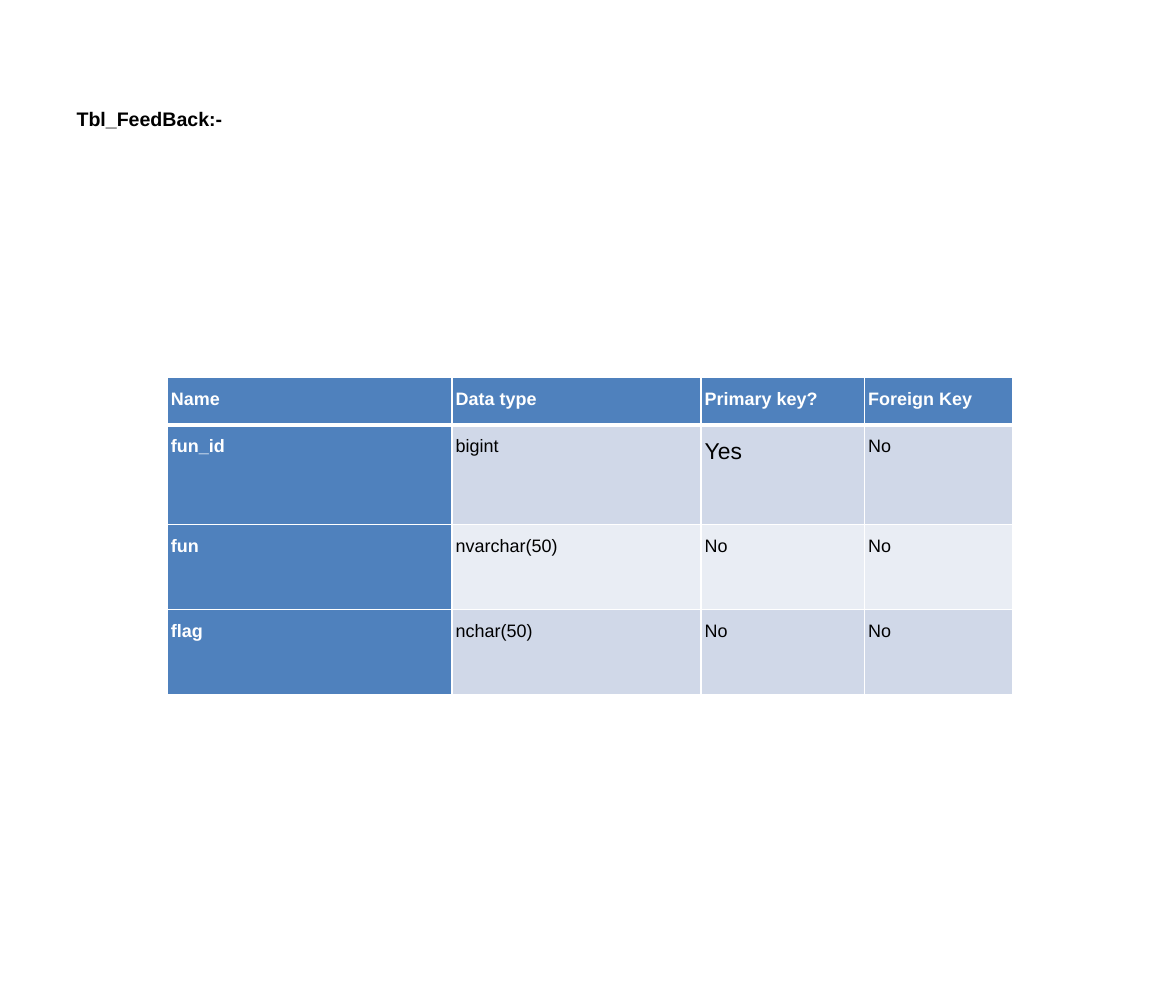
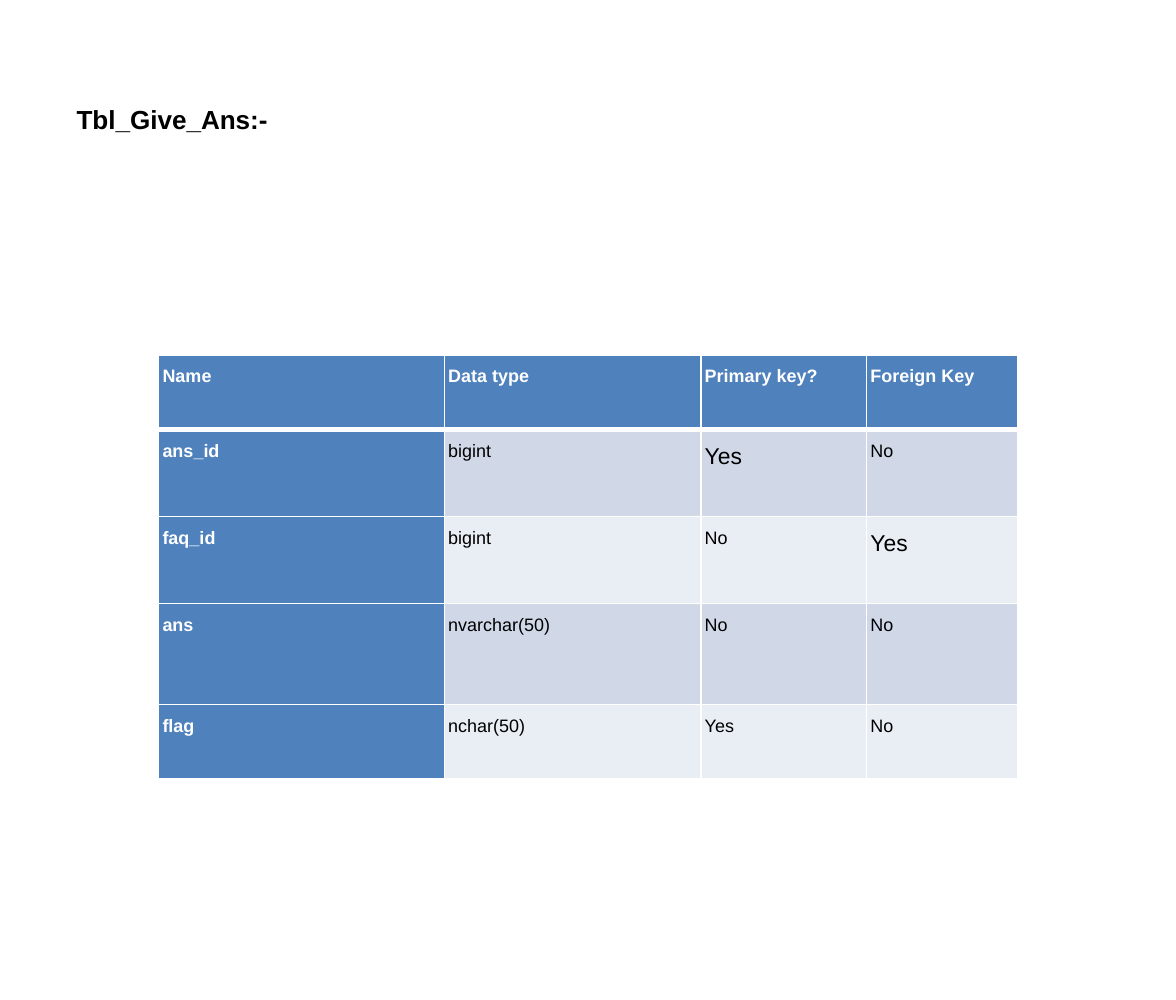
from dataclasses import dataclass

from lxml import etree
from pptx import Presentation
from pptx.dml.color import RGBColor
from pptx.enum import text
from pptx.oxml import ns
from pptx.util import Cm, Pt

# Content: lengths in cm, "key_cells" are the (row, column) cells in large type
HEADINGS = ["Name", "Data type", "Primary key?", "Foreign Key"]
SLIDES = [
    {
        "title": "Tbl_FeedBack:-", "title_size": 12,
        "title_box": (1.4, 2.18, 3.68, 1.8),
        "table_at": (3.61, 8.15),
        "columns": [6.15, 5.38, 3.53, 3.2],
        "heights": [1.02, 2.16, 1.83, 1.83],
        "fields": [
            ["fun_id", "bigint", "Yes", "No"],
            ["fun", "nvarchar(50)", "No", "No"],
            ["flag", "nchar(50)", "No", "No"],
        ],
        "key_cells": {(1, 2)},
    },
    {
        "title": "Tbl_Give_Ans:-", "title_size": 16,
        "title_box": (1.4, 2.1, 4.7, 1.96),
        "table_at": (3.43, 7.67),
        "columns": [6.17, 5.54, 3.58, 3.25],
        "heights": [1.6, 1.88, 1.88, 2.18, 1.6],
        "fields": [
            ["ans_id", "bigint", "Yes", "No"],
            ["faq_id", "bigint", "No", "Yes"],
            ["ans", "nvarchar(50)", "No", "No"],
            ["flag", "nchar(50)", "Yes", "No"],
        ],
        "key_cells": {(1, 2), (2, 3)},
    },
]


@dataclass(frozen=True)
class Theme:
    font: str = "Arial"
    ink: str = "000000"
    white: str = "FFFFFF"
    header: str = "4F81BD"
    bands: tuple = ("D0D8E8", "E9EDF4")
    cell_size: int = 11
    key_size: int = 14
    rule: int = 1
    header_rule: int = 3


THEME = Theme()


def add_run(paragraph, words, size, color, bold):
    run = paragraph.add_run()
    run.text = words
    run.font.name = THEME.font
    run.font.size = Pt(size)
    run.font.bold = bold
    run.font.color.rgb = RGBColor.from_string(color)


def add_border(cell, side, width):
    line = etree.SubElement(cell._tc.get_or_add_tcPr(), ns.qn(f"a:ln{side}"), w=str(Pt(width)))
    fill = etree.SubElement(line, ns.qn("a:solidFill"))
    etree.SubElement(fill, ns.qn("a:srgbClr"), val=THEME.white)


def set_title(slide, content):
    title = slide.shapes.title
    title.left, title.top, title.width, title.height = map(Cm, content["title_box"])
    frame = title.text_frame
    frame.auto_size = text.MSO_AUTO_SIZE.NONE
    frame.word_wrap = True
    frame.vertical_anchor = text.MSO_ANCHOR.TOP
    frame.margin_right = 0
    paragraph = frame.paragraphs[0]
    paragraph.alignment = text.PP_ALIGN.LEFT
    add_run(paragraph, content["title"], content["title_size"], THEME.ink, True)


def fill_cell(cell, words, row, column, size):
    is_heading = row == 0 or column == 0
    # Borders: a heavier rule separates the header from the fields
    heavy = {(0, "B"), (1, "T")}
    for side in "LRTB":
        add_border(cell, side, THEME.header_rule if (row, side) in heavy else THEME.rule)
    cell.fill.solid()
    color = THEME.header if is_heading else THEME.bands[(row - 1) % 2]
    cell.fill.fore_color.rgb = RGBColor.from_string(color)
    # Text
    cell.margin_left = cell.margin_right = cell.margin_top = cell.margin_bottom = Cm(0.03)
    paragraph = cell.text_frame.paragraphs[0]
    paragraph.line_spacing = 1.5
    paragraph._p.get_or_add_pPr().set("marL", str(Cm(0.05)))
    add_run(paragraph, words, size, THEME.white if is_heading else THEME.ink, is_heading)


def add_field_table(slide, content):
    rows = [HEADINGS] + content["fields"]
    columns, heights = content["columns"], content["heights"]
    left, top = content["table_at"]
    table = slide.shapes.add_table(len(rows), len(columns), Cm(left), Cm(top),
                                   Cm(sum(columns)), Cm(sum(heights))).table
    table.first_col = True
    for column, width in zip(table.columns, columns):
        column.width = Cm(width)
    for row, height in zip(table.rows, heights):
        row.height = Cm(height)
    for r, values in enumerate(rows):
        for c, words in enumerate(values):
            size = THEME.key_size if (r, c) in content["key_cells"] else THEME.cell_size
            fill_cell(table.cell(r, c), words, r, c, size)


def main():
    presentation = Presentation()
    presentation.slide_width, presentation.slide_height = Cm(25.4), Cm(21.59)
    title_only = presentation.slide_layouts[5]
    for content in SLIDES:
        slide = presentation.slides.add_slide(title_only)
        set_title(slide, content)
        add_field_table(slide, content)
    presentation.save("out.pptx")


if __name__ == "__main__":
    main()
